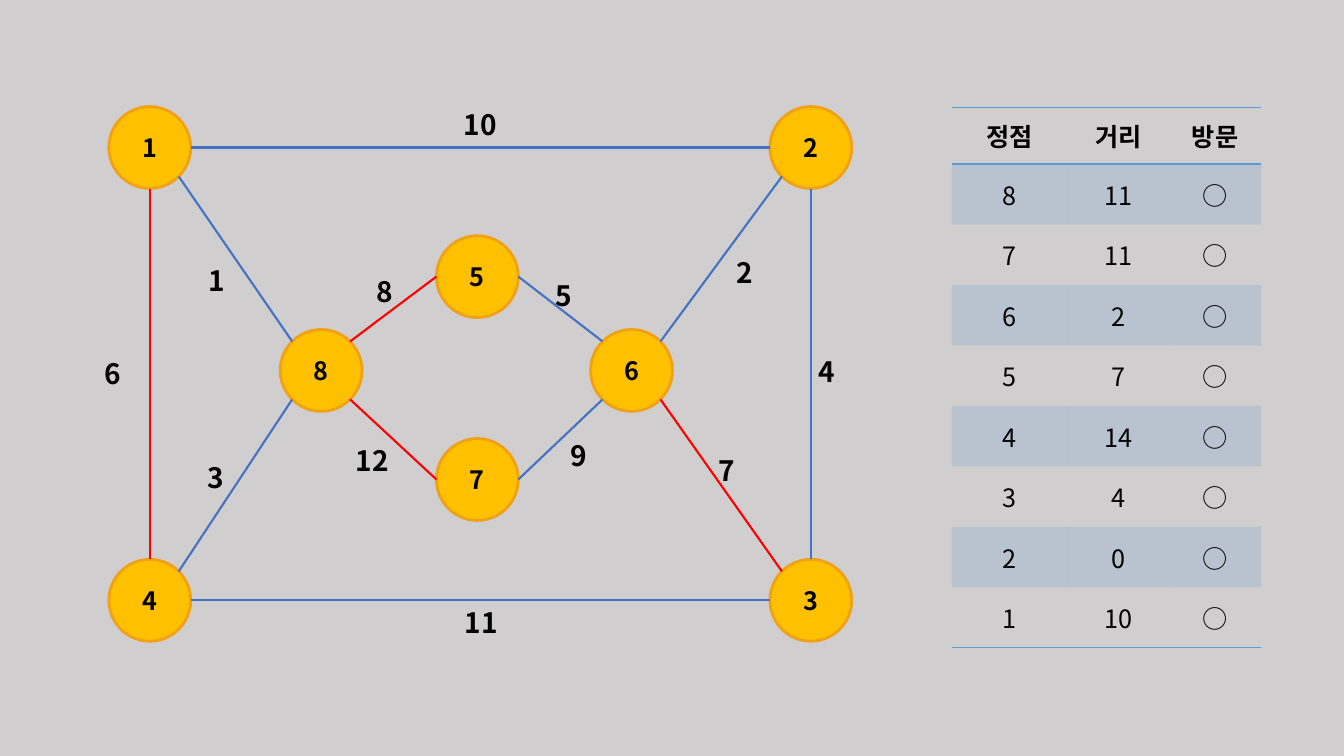
"""Weighted graph with its table of shortest distances."""
from dataclasses import dataclass
from math import sqrt

from pptx import Presentation
from pptx.dml.color import RGBColor as RGB
from pptx.enum.shapes import MSO_CONNECTOR as CONN, MSO_SHAPE as SHAPE
from pptx.enum.text import MSO_ANCHOR as ANCHOR, MSO_AUTO_SIZE as AUTO, PP_ALIGN as ALIGN
from pptx.oxml.ns import qn
from pptx.oxml.xmlchemy import OxmlElement as Element
from pptx.slide import Slide
from pptx.table import _Cell as Cell
from pptx.text.text import TextFrame
from pptx.util import Pt

COLORS = {
    "background": "D0CECE", "text": "000000", "node": "FFC000", "rim": "F1A116",
    "edge": "4472C4", "dropped": "FF0000", "table": "5B9BD5",
}
FONT = "Noto Sans CJK KR"
NO_STYLE = "{2D5ABB26-0587-4C30-8999-92F81FD0307C}"
RADIUS = 29.25
DIAGONAL = RADIUS / sqrt(2)
SITES = {
    "top": (0, -RADIUS), "bottom": (0, RADIUS), "left": (-RADIUS, 0), "right": (RADIUS, 0),
    "top left": (-DIAGONAL, -DIAGONAL), "top right": (DIAGONAL, -DIAGONAL),
    "bottom left": (-DIAGONAL, DIAGONAL), "bottom right": (DIAGONAL, DIAGONAL),
}
HEADER = ("정점", "거리", "방문")
DISTANCES = {8: 11, 7: 11, 6: 2, 5: 7, 4: 14, 3: 4, 2: 0, 1: 10}
COLUMN_WIDTHS = (82.8, 72, 66.2)
HEADER_HEIGHT, ROW_HEIGHT = 40.4, 43.2


@dataclass(frozen=True)
class Node:
    """A vertex and its centre."""
    number: int
    x: float
    y: float


@dataclass(frozen=True)
class Edge:
    """A weighted edge, its end sites and the corner of its label."""
    start: int
    start_site: str
    end: int
    end_site: str
    weight: int
    x: float
    y: float
    color: str = "edge"


LEFT, INNER_LEFT, CENTER, INNER_RIGHT, RIGHT = 107, 229.4, 341, 451.1, 579.2
TOP, MIDDLE, BOTTOM = 105.4, 264.6, 428.8
NODES = (
    Node(1, LEFT, TOP), Node(2, RIGHT, TOP), Node(4, LEFT, BOTTOM), Node(3, RIGHT, BOTTOM),
    Node(5, CENTER, 197.6), Node(7, CENTER, 342.5),
    Node(6, INNER_RIGHT, MIDDLE), Node(8, INNER_LEFT, MIDDLE),
)
EDGES = (
    Edge(1, "right", 2, "left", 10, 324, 73.4),
    Edge(1, "bottom right", 8, "top left", 1, 141.8, 185),
    Edge(4, "top right", 8, "bottom left", 3, 141.1, 325.4),
    Edge(4, "top", 1, "bottom", 6, 67.7, 251.3, "dropped"),
    Edge(4, "right", 3, "left", 11, 324.7, 429.1),
    Edge(8, "bottom right", 7, "left", 12, 247, 313.2, "dropped"),
    Edge(8, "top right", 5, "left", 8, 262.1, 192.2, "dropped"),
    Edge(5, "right", 6, "top left", 5, 389.5, 195.1),
    Edge(6, "bottom right", 3, "top left", 7, 506.2, 320.4, "dropped"),
    Edge(6, "top right", 2, "bottom left", 2, 519.1, 179.3),
    Edge(3, "top", 2, "bottom", 4, 577.4, 249.8),
    Edge(7, "right", 6, "bottom left", 9, 400.3, 309.6),
)


def rgb(name: str) -> RGB:
    """Look up a colour by name."""
    return RGB.from_string(COLORS[name])


def write(tf: TextFrame, text: str, *, size: float = 18, bold: bool = True,
          align: ALIGN = ALIGN.CENTER) -> None:
    """Write one formatted line into a text frame."""
    p = tf.paragraphs[0]
    p.alignment = align
    r = p.add_run()
    r.text = text
    r.font.name, r.font.size, r.font.bold = FONT, Pt(size), bold
    r.font.color.rgb = rgb("text")
    ea = Element("a:ea")
    ea.set("typeface", FONT)
    r.font._element.find(qn("a:latin")).addnext(ea)


def add_border(cell: Cell, side: str) -> None:
    """Draw a one-point border on a cell's side."""
    ln = Element(f"a:{side}")
    ln.set("w", str(Pt(1)))
    fill, color = Element("a:solidFill"), Element("a:srgbClr")
    color.set("val", COLORS["table"])
    fill.append(color)
    ln.append(fill)
    cell._tc.get_or_add_tcPr().append(ln)


def fill_band(cell: Cell) -> None:
    """Tint a cell with the transparent table colour."""
    cell.fill.solid()
    cell.fill.fore_color.rgb = rgb("table")
    alpha = Element("a:alpha")
    alpha.set("val", "20000")
    cell._tc.tcPr.find(qn("a:solidFill"))[0].append(alpha)


def add_distances(s: Slide) -> None:
    """Add the table of distances."""
    rows = [HEADER, *((str(n), str(d), "○") for n, d in DISTANCES.items())]
    height = HEADER_HEIGHT + ROW_HEIGHT * len(DISTANCES)
    table = s.shapes.add_table(len(rows), len(HEADER), Pt(680), Pt(76.8),
                               Pt(sum(COLUMN_WIDTHS)), Pt(height)).table
    table._tbl.tblPr.find(qn("a:tableStyleId")).text = NO_STYLE
    for column, width in zip(table.columns, COLUMN_WIDTHS):
        column.width = Pt(width)
    for i, row in enumerate(rows):
        table.rows[i].height = Pt(ROW_HEIGHT if i else HEADER_HEIGHT)
        for j, text in enumerate(row):
            cell = table.cell(i, j)
            cell.vertical_anchor = ANCHOR.MIDDLE
            write(cell.text_frame, text, bold=i == 0)
            if i == 0:
                add_border(cell, "lnT")
            if i in (0, len(rows) - 1):
                add_border(cell, "lnB")
            if i % 2:
                fill_band(cell)
            else:
                cell.fill.background()


def add_node(s: Slide, node: Node) -> None:
    """Add a numbered circle."""
    sp = s.shapes.add_shape(SHAPE.OVAL, Pt(node.x - RADIUS), Pt(node.y - RADIUS),
                            Pt(2 * RADIUS), Pt(2 * RADIUS))
    sp.shadow.inherit = False
    sp.fill.solid()
    sp.fill.fore_color.rgb = rgb("node")
    sp.line.color.rgb = rgb("rim")
    sp.line.width = Pt(2)
    write(sp.text_frame, str(node.number))


def add_edge(s: Slide, edge: Edge) -> None:
    """Add the line of an edge."""
    nodes = {node.number: node for node in NODES}
    ends = []
    for number, site in ((edge.start, edge.start_site), (edge.end, edge.end_site)):
        dx, dy = SITES[site]
        ends += [Pt(nodes[number].x + dx), Pt(nodes[number].y + dy)]
    line = s.shapes.add_connector(CONN.STRAIGHT, *ends)
    line.line.color.rgb = rgb(edge.color)
    line.line.width = Pt(1.5)
    line._element.spPr.append(Element("a:effectLst"))


def add_weight(s: Slide, edge: Edge) -> None:
    """Add the weight label of an edge."""
    text = str(edge.weight)
    width = 14 + 12 * len(text)
    tf = s.shapes.add_textbox(Pt(edge.x), Pt(edge.y), Pt(width), Pt(31.5)).text_frame
    tf.word_wrap = False
    tf.auto_size = AUTO.SHAPE_TO_FIT_TEXT
    write(tf, text, size=20, align=ALIGN.LEFT)


def main() -> None:
    """Build and save the slide."""
    prs = Presentation()
    prs.slide_width, prs.slide_height = Pt(960), Pt(540)
    s = prs.slides.add_slide(prs.slide_layouts[6])
    s.background.fill.solid()
    s.background.fill.fore_color.rgb = rgb("background")
    add_distances(s)
    for node in NODES:
        add_node(s, node)
    for edge in EDGES:
        add_edge(s, edge)
    for edge in EDGES:
        add_weight(s, edge)
    prs.save("out.pptx")


if __name__ == "__main__":
    main()
